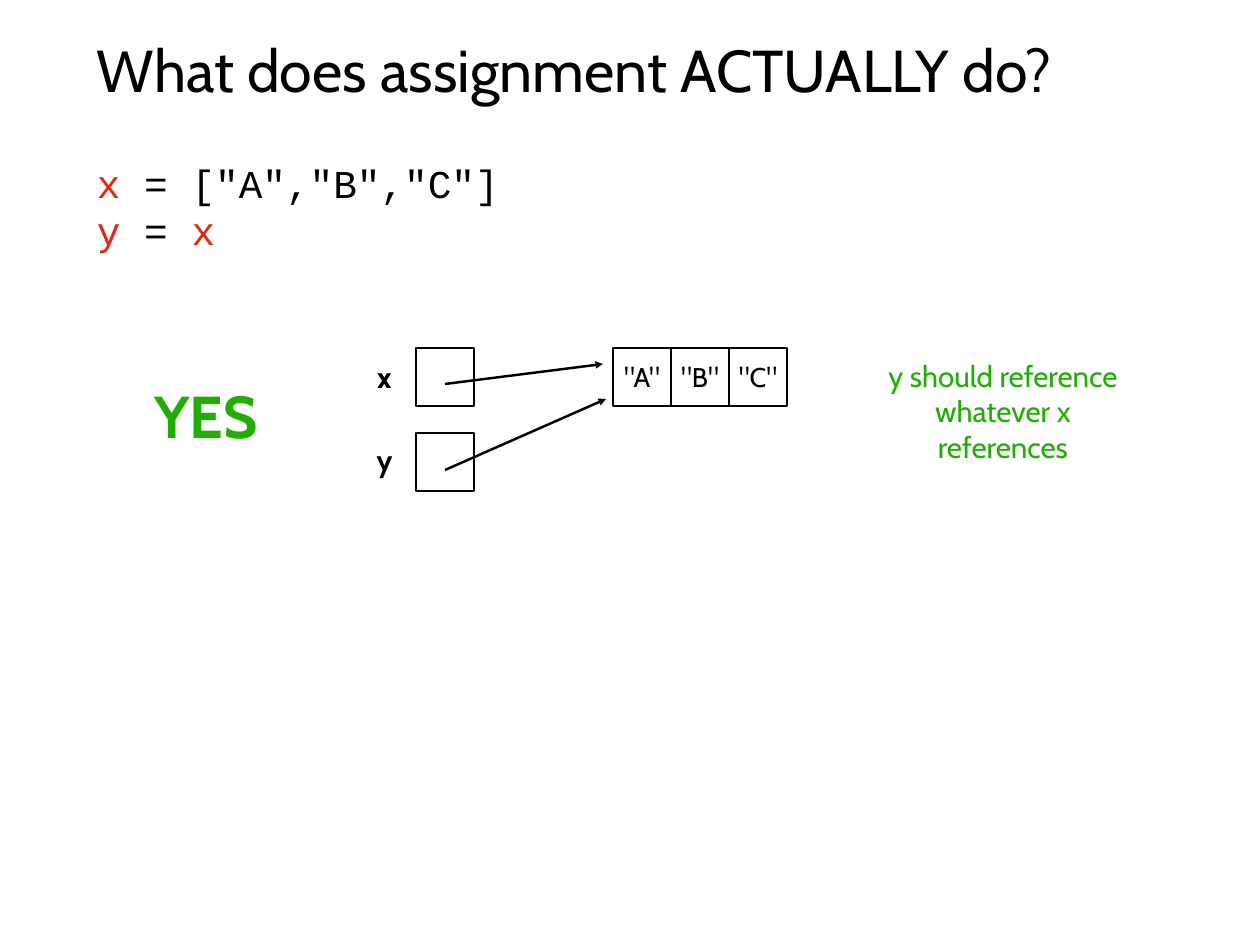
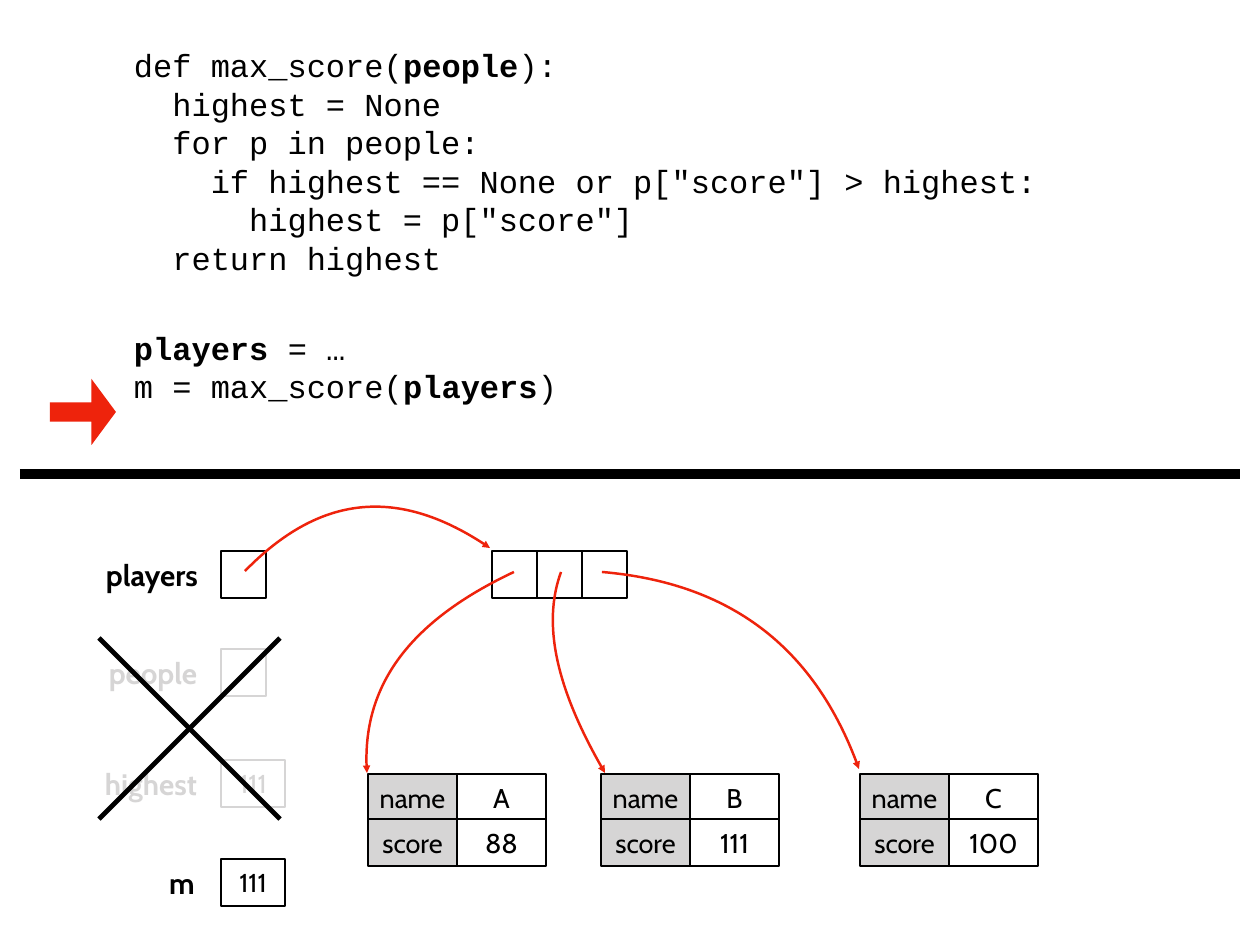
"""Builds two slides on how Python variables reference lists and records."""
from lxml.etree import SubElement
from pptx import Presentation
from pptx.dml.color import RGBColor
from pptx.enum.shapes import MSO_CONNECTOR as Connector, MSO_SHAPE as Shape
from pptx.enum.text import MSO_ANCHOR as Anchor, PP_ALIGN as Align
from pptx.oxml.ns import qn
from pptx.util import Emu, Pt

SCALE = 914400 / 88.6
COLORS = {"ink": "000000", "paper": "FFFFFF", "red": "EE230C", "green": "1EB001", "gray": "D6D5D5"}
TEXT_FONT, CODE_FONT = "Cabin", "Courier New"
INSET = 5
ASSIGNMENT_CODE = ['*x* = ["A","B","C"]', "*y* = *x*"]
FUNCTION_CODE = [
    "def max_score(*people*):",
    "  highest = None",
    "  for p in people:",
    '    if highest == None or p["score"] > highest:',
    '      highest = p["score"]',
    "  return highest",
]
CALL_CODE = ["*players* = …", "m = max_score(*players*)"]


def px(*lengths):
    return [Emu(round(length * SCALE)) for length in lengths]


def rgb(name):
    return RGBColor.from_string(COLORS[name])


def style_font(font, name, size, color, bold=False):
    font.name, font.size, font.bold = name, Pt(size), bold
    font.color.rgb = rgb(color)


def set_insets(text_frame):
    text_frame.margin_left, text_frame.margin_top, text_frame.margin_right, text_frame.margin_bottom = px(*[INSET] * 4)


def write_text(shape, text, size, color, bold=False, align=Align.CENTER, wrap=True):
    text_frame = shape.text_frame
    text_frame.text = text
    text_frame.word_wrap = wrap
    text_frame.vertical_anchor = Anchor.MIDDLE
    set_insets(text_frame)
    for paragraph in text_frame.paragraphs:
        paragraph.alignment = align
        for run in paragraph.runs:
            style_font(run.font, TEXT_FONT, size, color, bold)


def add_label(slide, text, box, size=24, color="ink", bold=True, **layout):
    write_text(slide.shapes.add_textbox(*px(*box)), text, size, color, bold, **layout)


def add_code(slide, box, blocks, size, accent="ink", bold_accent=False, block_gap=42):
    """Writes blocks of code lines in which *marked* words are accented."""
    text_frame = slide.shapes.add_textbox(*px(*box)).text_frame
    text_frame.word_wrap = True
    set_insets(text_frame)
    text_frame.text = "\n".join(line for block in blocks for line in block)
    paragraphs = iter(text_frame.paragraphs)
    for block_index, block in enumerate(blocks):
        for line_index, line in enumerate(block):
            paragraph = next(paragraphs)
            paragraph.clear()
            paragraph.line_spacing = Pt(1.2 * size)
            paragraph.space_before = Pt(block_gap if block_index and not line_index else 0)
            for index, piece in enumerate(line.split("*")):
                if piece:
                    marked = index % 2 == 1
                    run = paragraph.add_run()
                    run.text = piece
                    style_font(run.font, CODE_FONT, size, accent if marked else "ink", marked and bold_accent)


def add_cell(slide, box, text="", fill="paper", color="ink", weight=2, size=22):
    cell = slide.shapes.add_shape(Shape.RECTANGLE, *px(*box))
    cell.shadow.inherit = False
    if fill:
        cell.fill.solid()
        cell.fill.fore_color.rgb = rgb(fill)
    else:
        cell.fill.background()
    cell.line.color.rgb = rgb(color)
    cell.line.width = Pt(weight)
    if text:
        write_text(cell, text, size, color)


def add_arrowhead(shape):
    SubElement(shape.line._get_or_add_ln(), qn("a:tailEnd"), type="triangle")


def add_line(slide, start, end, weight, arrow=False):
    line = slide.shapes.add_connector(Connector.STRAIGHT, *px(*start, *end))
    line.line.color.rgb = rgb("ink")
    line.line.width = Pt(weight)
    if arrow:
        add_arrowhead(line)
    SubElement(line._element.spPr, qn("a:effectLst"))


def bezier_point(points, t):
    weights = ((1 - t) ** 3, 3 * t * (1 - t) ** 2, 3 * t * t * (1 - t), t ** 3)
    return tuple(sum(weight * point[axis] for weight, point in zip(weights, points)) for axis in (0, 1))


def add_curved_arrow(slide, *points):
    """Draws one cubic curve in a frame that fits the curve tightly."""
    builder = slide.shapes.build_freeform(*points[0], scale=SCALE)
    builder.add_line_segments([bezier_point(points, step / 20) for step in range(1, 21)], close=False)
    curve = builder.convert_to_shape()
    left, top = round(curve.left / SCALE), round(curve.top / SCALE)
    segments = list(curve._element.iter(qn("a:lnTo")))
    outline = segments[0].getparent()
    for segment in segments:
        outline.remove(segment)
    cubic = SubElement(outline, qn("a:cubicBezTo"))
    for x, y in points[1:]:
        SubElement(cubic, qn("a:pt"), x=str(x - left), y=str(y - top))
    curve.shadow.inherit = False
    curve.fill.background()
    curve.line.color.rgb = rgb("red")
    curve.line.width = Pt(2)
    add_arrowhead(curve)


def add_record(slide, left, name, score):
    width, height, top, row_step = 89, 47, 774, 45
    for row, (key, value) in enumerate((("name", name), ("score", score))):
        row_top = top + row * row_step
        add_cell(slide, (left, row_top, width, height), key, fill="gray")
        add_cell(slide, (left + width, row_top, width, height), value)


def add_variable(slide, name, label_left, label_width, top, value="", faded=False):
    color = "gray" if faded else "ink"
    add_label(slide, name, (label_left, top + 2, label_width, 44), color=color, wrap=False)
    box = (221, top, 64 if value else 45, 47)
    add_cell(slide, box, value, None if faded else "paper", color, size=21)


def add_step_arrow(slide):
    arrow = slide.shapes.add_shape(Shape.RIGHT_ARROW, *px(50, 379, 66, 66))
    arrow.shadow.inherit = False
    arrow.adjustments[0], arrow.adjustments[1] = 0.29, 0.37
    arrow.fill.solid()
    arrow.fill.fore_color.rgb = rgb("red")
    arrow.line.fill.background()


def build_assignment_slide(slide):
    add_label(slide, "What does assignment ACTUALLY do?", (92, 25, 1076, 88), 48, bold=False, align=Align.LEFT)
    add_code(slide, (92, 154, 1076, 133), [ASSIGNMENT_CODE], 32, accent="red")
    side = 58
    for name, label_top, box_top in (("x", 355, 348), ("y", 438, 433)):
        add_label(slide, name, (370, label_top, 29, 44), wrap=False)
        add_cell(slide, (416, box_top, side, side), weight=1)
    for index, letter in enumerate("ABC"):
        add_cell(slide, (613 + index * side, 348, side, side), f'"{letter}"', weight=1)
    add_line(slide, (445, 470), (606, 399), 2, arrow=True)
    add_line(slide, (445, 384), (603, 364), 2, arrow=True)
    add_label(slide, "YES", (131, 376, 150, 78), 48, "green", wrap=False)
    add_label(slide, "y should reference\nwhatever x references", (882, 356, 242, 110), color="green", bold=False)


def build_function_slide(slide):
    add_code(slide, (129, 41, 1076, 387), [FUNCTION_CODE, CALL_CODE], 26, bold_accent=True)
    add_variable(slide, "players", 92, 120, 551)
    for index in range(3):
        add_cell(slide, (492 + index * 45, 551, 45, 47))
    add_curved_arrow(slide, (245, 571), (320, 494), (401, 487), (490, 548))
    for left, name, score in ((368, "A", "88"), (601, "B", "111"), (860, "C", "100")):
        add_record(slide, left, name, score)
    add_curved_arrow(slide, (602, 572), (730, 583), (816, 649), (859, 769))
    add_curved_arrow(slide, (561, 572), (542, 624), (557, 691), (605, 773))
    add_curved_arrow(slide, (514, 572), (410, 621), (361, 688), (367, 773))
    add_line(slide, (20, 474), (1240, 474), 8)
    add_step_arrow(slide)
    add_variable(slide, "people", 93, 120, 649, faded=True)
    add_variable(slide, "highest", 91, 120, 760, "111", faded=True)
    add_variable(slide, "m", 157, 50, 859, "111")
    add_line(slide, (99, 819), (280, 638), 4)
    add_line(slide, (280, 819), (99, 638), 4)


def main():
    presentation = Presentation()
    presentation.slide_width, presentation.slide_height = px(1260, 945)
    blank_layout = presentation.slide_layouts[6]
    for build_slide in (build_assignment_slide, build_function_slide):
        build_slide(presentation.slides.add_slide(blank_layout))
    presentation.save("out.pptx")


main()
